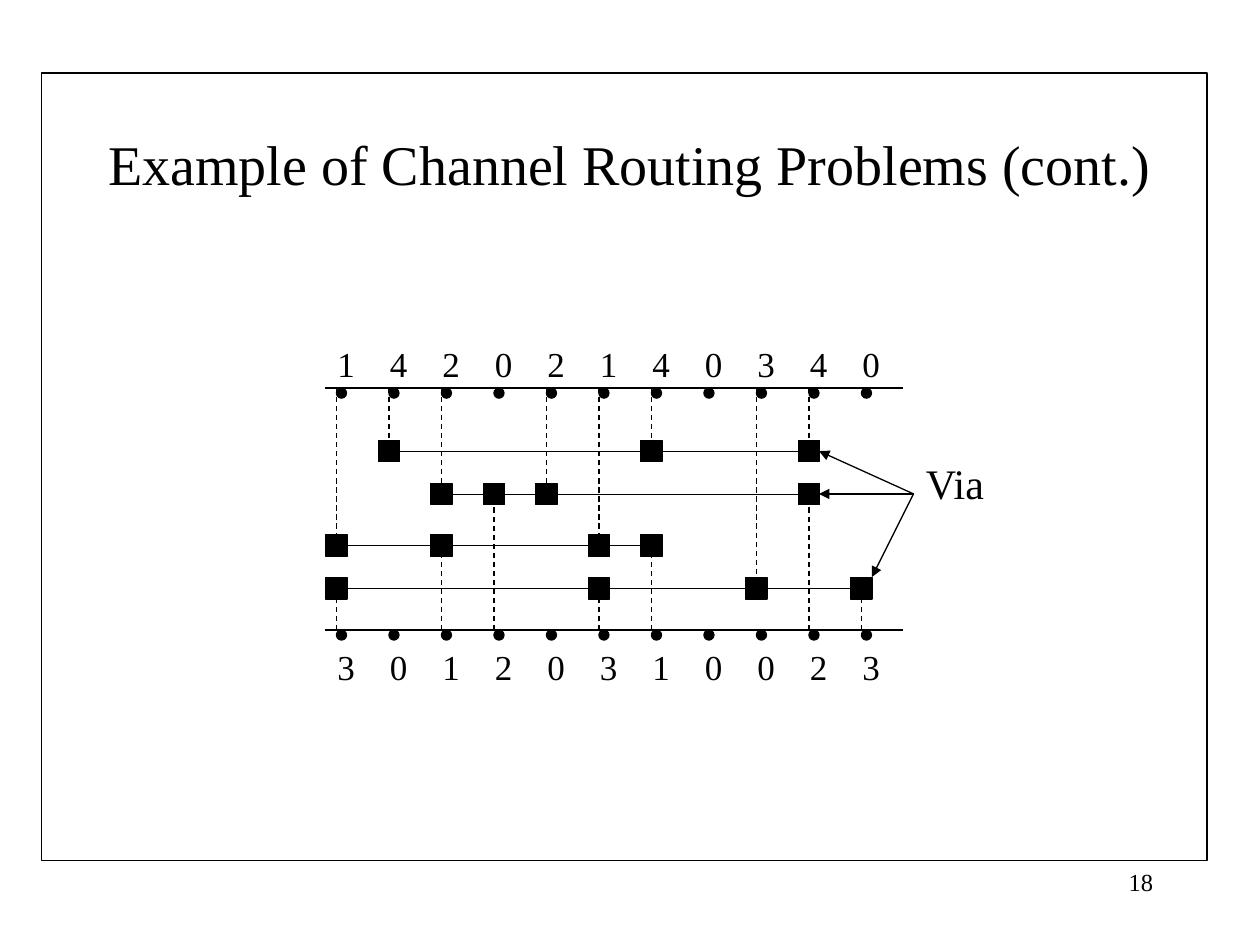
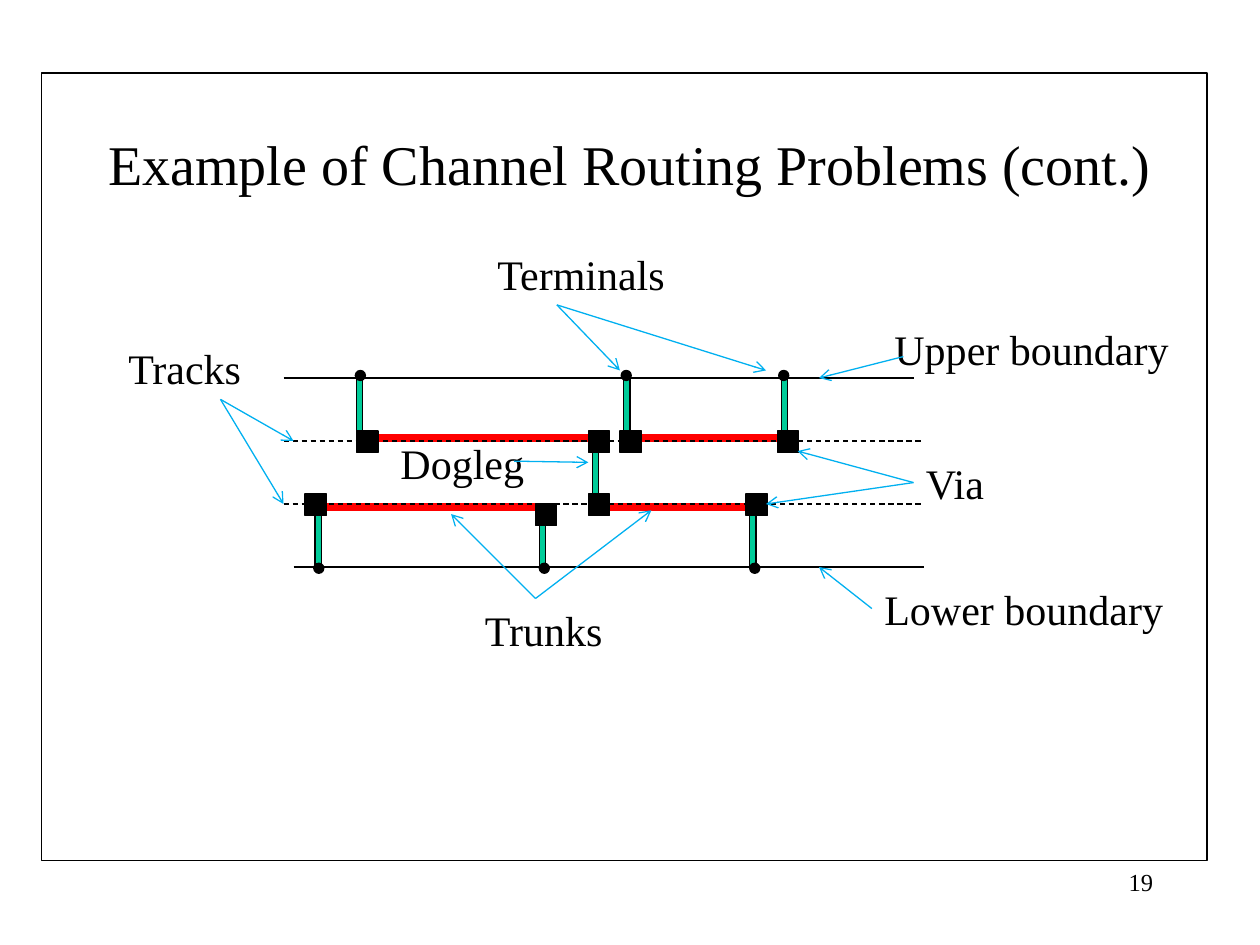
from lxml import etree
from pptx import Presentation
from pptx.dml.color import RGBColor
from pptx.enum.dml import MSO_LINE
from pptx.enum.shapes import MSO_CONNECTOR, MSO_SHAPE
from pptx.enum.text import MSO_ANCHOR, PP_ALIGN
from pptx.oxml.ns import qn
from pptx.util import Inches, Pt

RECTANGLE, OVAL = MSO_SHAPE.RECTANGLE, MSO_SHAPE.OVAL
STRAIGHT = MSO_CONNECTOR.STRAIGHT
DASH = MSO_LINE.DASH
LEFT, CENTER, RIGHT = PP_ALIGN.LEFT, PP_ALIGN.CENTER, PP_ALIGN.RIGHT
MIDDLE = MSO_ANCHOR.MIDDLE

FONT = "Times New Roman"
BLACK, RED, GREEN, BLUE = "000000", "FF0000", "00CC99", "00B0F0"
TITLE = "Example of Channel Routing Problems (cont.)"
VIA_SIZE, DOT_SIZE, WIRE = 0.17, 0.08, 0.05


def add_block(slide, kind, left, top, width, height, fill=BLACK, line=BLACK):
    shape = slide.shapes.add_shape(
        kind, Inches(left), Inches(top), Inches(width), Inches(height))
    shape.shadow.inherit = False
    if fill:
        shape.fill.solid()
        shape.fill.fore_color.rgb = RGBColor.from_string(fill)
    else:
        shape.fill.background()
    shape.line.color.rgb = RGBColor.from_string(line)
    shape.line.width = Pt(0.75)


def add_line(slide, start, end, color=BLACK, width=0.75, dash=None, arrow=None):
    line = slide.shapes.add_connector(
        STRAIGHT, *(Inches(value) for value in (*start, *end)))
    line.line.color.rgb = RGBColor.from_string(color)
    line.line.width = Pt(width)
    if dash:
        line.line.dash_style = dash
    if arrow:
        outline = line.line._get_or_add_ln()
        etree.SubElement(outline, qn("a:tailEnd"), type=arrow)
    etree.SubElement(line._element.spPr, qn("a:effectLst"))


presentation = Presentation()
presentation.slide_width = Inches(10)
presentation.slide_height = Inches(7.5)

# Routing data: net numbers at the terminals and the track height of each net
upper_nets = [1, 4, 2, 0, 2, 1, 4, 0, 3, 4, 0]
lower_nets = [3, 0, 1, 2, 0, 3, 1, 0, 0, 2, 3]
net_tracks = {4: 3.58, 2: 3.92, 1: 4.33, 3: 4.67}
PITCH = 5 / 12
columns = [2.67 + PITCH * index for index in range(len(upper_nets))]

# Labels per slide: text, left, top, width, size, alignment
via_label = ("Via", 7.25, 3.58, 1.75, 24, LEFT)
slide_labels = {
    18: [
        ("\t".join(map(str, upper_nets)), 2.58, 2.67, 5.17, 20, LEFT),
        ("\t".join(map(str, lower_nets)), 2.58, 5.07, 5.17, 20, LEFT),
        via_label,
    ],
    19: [
        via_label,
        ("Terminals", 3.85, 1.92, 2.2, 24, LEFT),
        ("Tracks", 0.92, 2.67, 1.33, 24, LEFT),
        ("Trunks", 3.75, 4.75, 1.58, 24, LEFT),
        ("Dogleg", 3.08, 3.42, 1.25, 24, LEFT),
        ("Upper boundary", 7, 2.52, 2.58, 24, LEFT),
        ("Lower boundary", 6.92, 4.58, 2.58, 24, LEFT),
    ],
}

# Shared parts: title, frame, page number, and the labels
slides = []
for number, labels in slide_labels.items():
    slide = presentation.slides.add_slide(presentation.slide_layouts[5])
    slides.append(slide)
    title = slide.shapes.title
    title.left, title.top = Inches(0.75), Inches(0.67)
    title.width, title.height = Inches(8.5), Inches(1.25)
    frame = title.text_frame
    frame.text = TITLE
    frame.margin_left = frame.margin_right = 0
    frame.vertical_anchor = MIDDLE
    paragraph = frame.paragraphs[0]
    paragraph.alignment = CENTER
    paragraph.font.name, paragraph.font.size = FONT, Pt(32)
    paragraph.font.color.rgb = RGBColor.from_string(BLACK)

    add_block(slide, RECTANGLE, 0.33, 0.58, 9.25, 6.25, fill=None)

    page_number = (str(number), 7.17, 6.83, 2.08, 14, RIGHT)
    for text, left, top, width, size, alignment in [page_number, *labels]:
        box = slide.shapes.add_textbox(
            Inches(left), Inches(top), Inches(width), Inches(0.5))
        box.text_frame.word_wrap = True
        paragraph = box.text_frame.paragraphs[0]
        paragraph.text = text
        paragraph.alignment = alignment
        if "\t" in text:
            tabs = etree.SubElement(
                paragraph._p.get_or_add_pPr(), qn("a:tabLst"))
            for index in range(1, len(columns)):
                etree.SubElement(tabs, qn("a:tab"), algn="l",
                                 pos=str(Inches(PITCH * index)))
        paragraph.font.name, paragraph.font.size = FONT, Pt(size)
        paragraph.font.color.rgb = RGBColor.from_string(BLACK)

routing, terms = slides

# Slide 18: boundaries, terminals and dashed branches to the tracks
vias = []
for boundary, nets in ((3.08, upper_nets), (5, lower_nets)):
    add_line(routing, (2.58, boundary), (7.17, boundary))
    for column, net in zip(columns, nets):
        add_block(routing, OVAL, column, boundary, DOT_SIZE, DOT_SIZE)
        if net:
            track = net_tracks[net]
            add_line(routing, (column, boundary), (column, track), dash=DASH)
            vias.append((net, column, track))

# Each trunk spans the outermost branches of its net
for net, track in net_tracks.items():
    ends = [column for via_net, column, _ in vias if via_net == net]
    add_line(routing, (min(ends), track), (max(ends), track), width=0.25)

for tip in ((6.5, 3.58), (6.5, 3.92), (6.92, 4.58)):
    add_line(routing, (7.25, 3.92), tip, arrow="triangle")
for _, column, track in vias:
    add_block(routing, RECTANGLE, column - VIA_SIZE / 2, track - VIA_SIZE / 2,
              VIA_SIZE, VIA_SIZE)

# Slide 19: boundaries, vertical branches and horizontal trunks
add_line(terms, (2.25, 3), (7.25, 3))
add_line(terms, (2.33, 4.5), (7.33, 4.5))
for left, top in ((2.83, 3), (4.95, 3), (6.2, 3), (4.7, 3.5),
                  (2.5, 4), (4.28, 4), (5.95, 4)):
    add_block(terms, RECTANGLE, left, top, WIRE, 0.5, GREEN)
for left, top, length in ((2.92, 3.45, 1.78), (5, 3.45, 1.25),
                          (2.58, 4, 1.75), (4.75, 4, 1.25)):
    add_block(terms, RECTANGLE, left, top, length, WIRE, RED, RED)

# Vias and terminals
for left, top in ((2.83, 3.42), (4.67, 3.42), (4.92, 3.42), (6.17, 3.42),
                  (2.42, 3.92), (4.25, 4), (4.67, 3.92), (5.92, 3.92)):
    add_block(terms, RECTANGLE, left, top, VIA_SIZE, VIA_SIZE)
for top, lefts in ((2.94, (2.82, 4.93, 6.18)), (4.47, (2.49, 4.28, 5.95))):
    for left in lefts:
        add_block(terms, OVAL, left, top, DOT_SIZE, DOT_SIZE)

# Tracks
for track in (3.5, 4):
    add_line(terms, (2.25, track), (7.33, track), dash=DASH)

# Pointers from each label to the parts it names
pointers = {
    (7.25, 3.83): [(6.33, 3.58), (6.08, 4)],        # Via
    (4.42, 2.42): [(4.92, 2.94), (6.08, 2.94)],     # Terminals
    (1.75, 3.17): [(2.33, 3.5), (2.25, 4)],         # Tracks
    (4.25, 4.75): [(3.58, 4.08), (5.17, 4.05)],     # Trunks
    (4.08, 3.66): [(4.67, 3.67)],                   # Dogleg
    (7.17, 2.83): [(6.5, 3)],                       # Upper boundary
    (6.92, 4.83): [(6.5, 4.5)],                     # Lower boundary
}
for start, tips in pointers.items():
    for tip in tips:
        add_line(terms, start, tip, BLUE, arrow="arrow")

presentation.save("out.pptx")
